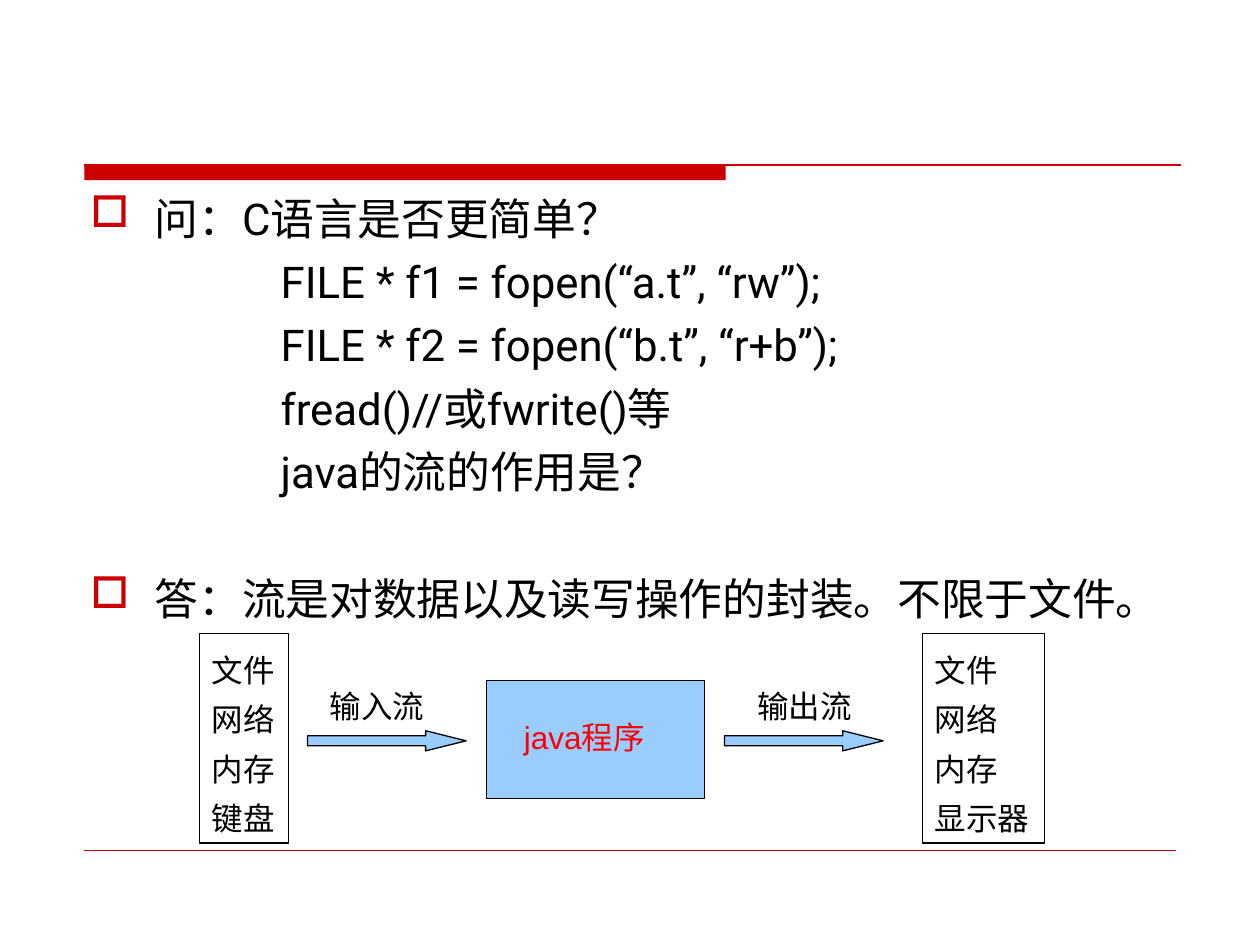
from dataclasses import dataclass
from typing import Optional

from lxml import etree
from pptx import Presentation
from pptx import util as u
from pptx.dml.color import RGBColor
from pptx.enum import shapes, text
from pptx.oxml import ns


@dataclass(frozen=True)
class Theme:
    red: str = "CC0000"
    blue: str = "99CCFF"
    black: str = "000000"
    accent: str = "FF0000"
    body_font: str = "Roboto"
    label_font: str = "Arial"
    body_size: float = 25
    label_size: float = 18
    outline: float = 0.75
    hairline: float = 0.25


@dataclass(frozen=True)
class Area:
    left: float
    top: float
    width: float
    height: float

    def lengths(self) -> list:
        return [u.Pt(n) for n in (self.left, self.top, self.width, self.height)]


@dataclass(frozen=True)
class BodyLine:
    words: str
    bullet: bool = False
    before: float = 6.2


@dataclass(frozen=True)
class Endpoint:
    area: Area
    items: tuple


@dataclass(frozen=True)
class Stream:
    label: str
    label_left: float
    arrow_left: float


THEME = Theme()
HANGING = 36.7
CODE_INDENT = HANGING + 72
BODY_AREA = Area(44.6, 105.8, 630, 272.2)
BODY_LINES = (
    BodyLine("问：C语言是否更简单？", True, 0),
    BodyLine("FILE * f1 = fopen(“a.t”, “rw”);"),
    BodyLine("FILE * f2 = fopen(“b.t”, “r+b”);"),
    BodyLine("fread()//或fwrite()等"),
    BodyLine("java的流的作用是？"),
    BodyLine("答：流是对数据以及读写操作的封装。不限于文件。", True, 42.4),
)
SHARED_ITEMS = ("文件", "网络", "内存")
ENDPOINTS = (
    Endpoint(Area(113.8, 362.2, 51.1, 119.5), SHARED_ITEMS + ("键盘",)),
    Endpoint(Area(527, 362.2, 69.8, 119.5), SHARED_ITEMS + ("显示器",)),
)
STREAMS = (Stream("输入流", 181.4, 175.7), Stream("输出流", 425.5, 414))


def apply(target, values: dict) -> None:
    for name, value in values.items():
        setattr(target, name, value)


def style_font(font, name: str, size: float, color: str) -> None:
    apply(font, {"name": name, "size": u.Pt(size)})
    font.color.rgb = RGBColor.from_string(color)


def add_rule(page, left: float, right: float, top: float, width: float) -> None:
    ends = [u.Pt(n) for n in (left, top, right, top)]
    rule = page.shapes.add_connector(shapes.MSO_CONNECTOR.STRAIGHT, *ends)
    rule.line.color.rgb = RGBColor.from_string(THEME.red)
    rule.line.width = u.Pt(width)
    etree.SubElement(rule._element.spPr, ns.qn("a:effectLst"))


def add_block(page, kind, area: Area, fill: Optional[str], line: Optional[str]):
    block = page.shapes.add_shape(kind, *area.lengths())
    block.shadow.inherit = False
    if fill:
        block.fill.solid()
        block.fill.fore_color.rgb = RGBColor.from_string(fill)
    else:
        block.fill.background()
    if line:
        block.line.color.rgb = RGBColor.from_string(line)
        block.line.width = u.Pt(THEME.outline)
    else:
        block.line.fill.background()
    return block


def write_labels(box, lines: tuple, color: str, spacing: float, wrap: bool) -> None:
    frame = box.text_frame
    apply(frame, {
        "word_wrap": wrap,
        "auto_size": text.MSO_AUTO_SIZE.SHAPE_TO_FIT_TEXT,
        "vertical_anchor": text.MSO_ANCHOR.TOP,
    })
    for index, words in enumerate(lines):
        para = frame.add_paragraph() if index else frame.paragraphs[0]
        apply(para, {"alignment": text.PP_ALIGN.LEFT, "line_spacing": spacing})
        span = para.add_run()
        span.text = words
        style_font(span.font, THEME.label_font, THEME.label_size, color)


def add_label(page, area: Area, words: str, color: str, spacing: float) -> None:
    box = page.shapes.add_textbox(*area.lengths())
    write_labels(box, (words,), color, spacing, False)


def indent(para, bullet: bool) -> None:
    properties = para._p.get_or_add_pPr()
    margin = HANGING if bullet else CODE_INDENT
    properties.set("marL", str(u.Pt(margin)))
    properties.set("indent", str(u.Pt(-HANGING if bullet else 0)))
    if bullet:
        color = etree.SubElement(properties, ns.qn("a:buClr"))
        etree.SubElement(color, ns.qn("a:srgbClr"), val=THEME.red)
        etree.SubElement(properties, ns.qn("a:buChar"), char="□")


def add_body(page) -> None:
    box = page.shapes.add_textbox(*BODY_AREA.lengths())
    box.text_frame.word_wrap = True
    for index, line in enumerate(BODY_LINES):
        para = box.text_frame.add_paragraph() if index else box.text_frame.paragraphs[0]
        indent(para, line.bullet)
        para.space_before = u.Pt(line.before)
        span = para.add_run()
        span.text = line.words
        style_font(span.font, THEME.body_font, THEME.body_size, THEME.black)


def add_stream(page, stream: Stream) -> None:
    area = Area(stream.arrow_left, 417.6, 90.7, 11.5)
    arrow = add_block(page, shapes.MSO_SHAPE.RIGHT_ARROW, area, THEME.blue, THEME.black)
    arrow.adjustments[0] = 0.5
    arrow.adjustments[1] = 2.01
    add_label(page, Area(stream.label_left, 388.8, 68.4, 28.8), stream.label, THEME.black, 1.0)


def main() -> None:
    deck = Presentation()
    apply(deck, {"slide_width": u.Pt(720), "slide_height": u.Pt(540)})
    page = deck.slides.add_slide(deck.slide_layouts[6])
    rectangle = shapes.MSO_SHAPE.RECTANGLE

    add_block(page, rectangle, Area(48.2, 94.3, 366.5, 8.6), THEME.red, None)
    add_rule(page, 48.2, 674.6, 94.3, THEME.outline)
    add_rule(page, 48.2, 671.8, 486, THEME.hairline)
    add_body(page)

    for endpoint in ENDPOINTS:
        box = add_block(page, rectangle, endpoint.area, None, THEME.black)
        write_labels(box, endpoint.items, THEME.black, 1.3, True)

    add_block(page, rectangle, Area(277.9, 388.8, 124.6, 67.7), THEME.blue, THEME.black)
    add_label(page, Area(292.3, 400.3, 87.8, 35.3), "java程序", THEME.accent, 1.3)
    for stream in STREAMS:
        add_stream(page, stream)

    deck.save("out.pptx")


if __name__ == "__main__":
    main()
